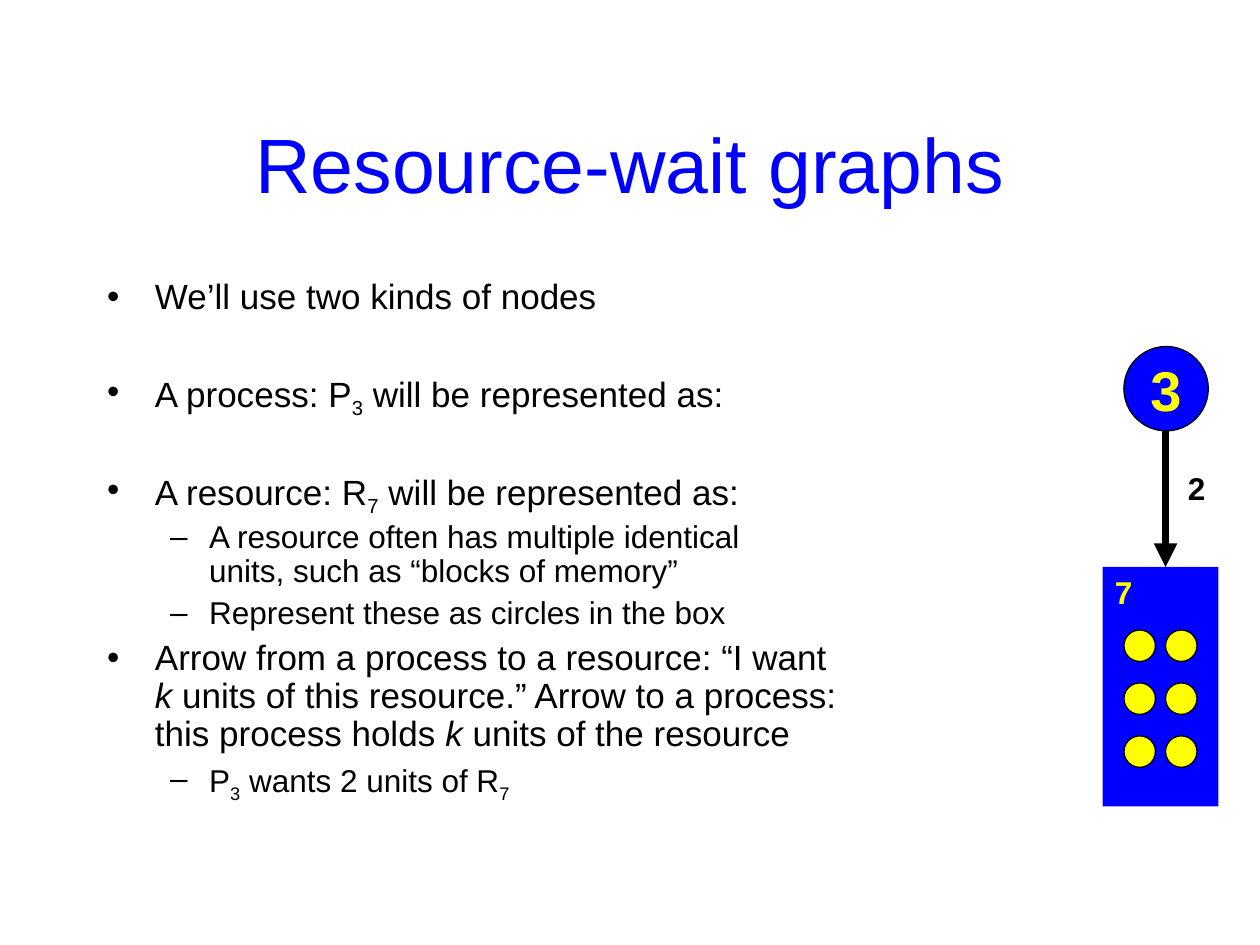
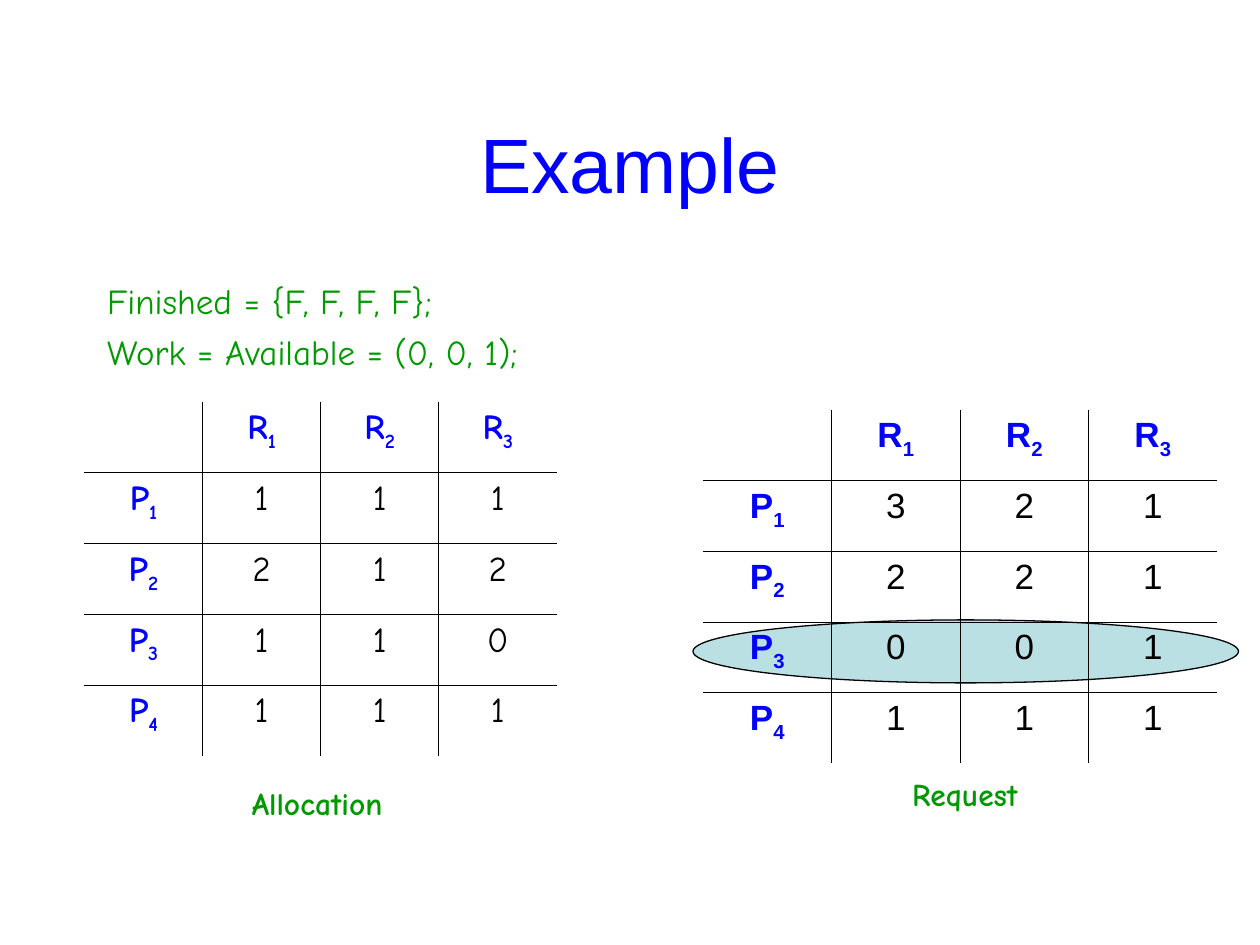
import copy
from dataclasses import dataclass

import pptx
import pptx.dml.color
import pptx.enum.shapes
import pptx.enum.text
import pptx.oxml
import pptx.oxml.ns
import pptx.slide
import pptx.table
import pptx.text.text
import pptx.util
from lxml import etree
from pptx.util import Inches, Pt

ALIGN = pptx.enum.text.PP_ALIGN
ANCHOR = pptx.enum.text.MSO_ANCHOR
SHAPE = pptx.enum.shapes.MSO_SHAPE


@dataclass(frozen=True)
class Theme:
    blue: str = "0000FF"
    yellow: str = "FFFF00"
    green: str = "009900"
    pale: str = "BBE0E3"
    black: str = "000000"
    sans: str = "Arial"
    comic: str = "Comic Neue"
    title: float = 44
    node: float = 32
    body: float = 20
    small: float = 18
    outline: float = 0.75
    arrow: float = 4.5
    grid: float = 0.45


THEME = Theme()


@dataclass(frozen=True)
class Style:
    size: float
    color: str = THEME.black
    font: str = THEME.sans
    bold: bool = False


@dataclass(frozen=True)
class Area:
    left: float
    top: float
    width: float
    height: float

    def lengths(self) -> tuple[int, ...]:
        return tuple(Inches(n) for n in (self.left, self.top, self.width, self.height))


@dataclass(frozen=True)
class Span:
    text: str
    subscript: bool = False
    italic: bool = False


@dataclass(frozen=True)
class Item:
    spans: tuple[Span, ...]
    level: int = 0
    before: float = 5
    bullet: bool = True


@dataclass(frozen=True)
class Matrix:
    name: str
    area: Area
    font: str
    values: tuple[tuple[int, ...], ...]
    caption: Area


TITLE_AREA = Area(0.75, 0.67, 8.5, 1.25)
BODY_AREA = Area(0.75, 2.17, 8.5, 4.5)
LEVELS = ((0.38, -0.38, "•", THEME.body), (0.81, -0.31, "–", THEME.small))
SECTION_GAP = 31.5


def rgb(color: str) -> pptx.dml.color.RGBColor:
    return pptx.dml.color.RGBColor.from_string(color)


def indexed(name: str, index: int) -> tuple[Span, Span]:
    return Span(name), Span(str(index), subscript=True)


def write(para: pptx.text.text._Paragraph, spans: tuple[Span, ...], style: Style) -> None:
    for span in spans:
        for number, line in enumerate(span.text.split("\n")):
            if number:
                previous = para.runs[-1]._r.get_or_add_rPr()
                para.add_line_break()
                para._p[-1].append(copy.deepcopy(previous))
            if not line:
                continue
            run = para.add_run()
            run.text = line
            run.font.name = style.font
            run.font.size = Pt(style.size)
            run.font.bold = style.bold
            run.font.italic = span.italic
            run.font.color.rgb = rgb(style.color)
            if span.subscript:
                run._r.get_or_add_rPr().set("baseline", "-25000")


def add_bullet(para: pptx.text.text._Paragraph, item: Item) -> None:
    margin, indent, mark, _ = LEVELS[item.level]
    properties = para._p.get_or_add_pPr()
    properties.set("marL", str(Inches(margin)))
    properties.set("indent", str(Inches(indent)))
    if not item.bullet:
        etree.SubElement(properties, pptx.oxml.ns.qn("a:buNone"))
        return
    color = etree.SubElement(properties, pptx.oxml.ns.qn("a:buClr"))
    etree.SubElement(color, pptx.oxml.ns.qn("a:srgbClr"), val=THEME.black)
    etree.SubElement(properties, pptx.oxml.ns.qn("a:buFont"), typeface=THEME.sans)
    etree.SubElement(properties, pptx.oxml.ns.qn("a:buChar"), char=mark)


def place(holder, area: Area, anchor: ANCHOR) -> pptx.text.text.TextFrame:
    holder.left, holder.top, holder.width, holder.height = area.lengths()
    frame = holder.text_frame
    frame.auto_size = pptx.enum.text.MSO_AUTO_SIZE.NONE
    frame.vertical_anchor = anchor
    return frame


def add_page(deck, title: str, items: list[Item], spacing: float,
             color: str, font: str) -> pptx.slide.Slide:
    page = deck.slides.add_slide(deck.slide_layouts[1])
    heading = place(page.shapes.title, TITLE_AREA, ANCHOR.MIDDLE).paragraphs[0]
    heading.alignment = ALIGN.CENTER
    write(heading, (Span(title),), Style(THEME.title, THEME.blue))
    body = place(page.placeholders[1], BODY_AREA, ANCHOR.TOP)
    for number, item in enumerate(items):
        para = body.add_paragraph() if number else body.paragraphs[0]
        para.level = item.level
        add_bullet(para, item)
        para.line_spacing = spacing
        para.space_before = Pt(item.before if number else 0)
        write(para, item.spans, Style(LEVELS[item.level][3], color, font))
    return page


def add_block(page: pptx.slide.Slide, kind: SHAPE, area: Area, fill: str, outlined: bool = True):
    block = page.shapes.add_shape(kind, *area.lengths())
    block.shadow.inherit = False
    block.fill.solid()
    block.fill.fore_color.rgb = rgb(fill)
    if outlined:
        block.line.color.rgb = rgb(THEME.black)
        block.line.width = Pt(THEME.outline)
    else:
        block.line.fill.background()
    return block


def label(box, text: str, style: Style, align: ALIGN = ALIGN.LEFT,
          anchor: ANCHOR = ANCHOR.TOP, wrap: bool = True) -> None:
    box.text_frame.word_wrap = wrap
    box.text_frame.vertical_anchor = anchor
    para = box.text_frame.paragraphs[0]
    para.alignment = align
    write(para, (Span(text),), style)


def add_label(page: pptx.slide.Slide, text: str, area: Area, style: Style) -> None:
    label(page.shapes.add_textbox(*area.lengths()), text, style)


def add_arrow(page: pptx.slide.Slide, x: float, top: float, bottom: float) -> None:
    arrow = page.shapes.add_connector(
        pptx.enum.shapes.MSO_CONNECTOR.STRAIGHT, Inches(x), Inches(top), Inches(x), Inches(bottom))
    arrow.line.color.rgb = rgb(THEME.black)
    arrow.line.width = Pt(THEME.arrow)
    etree.SubElement(arrow.line._get_or_add_ln(), pptx.oxml.ns.qn("a:tailEnd"), type="triangle")
    etree.SubElement(arrow._element.spPr, pptx.oxml.ns.qn("a:effectLst"))


def rule_cell(cell: pptx.table._Cell, drawn: dict[str, bool]) -> None:
    properties = cell._tc.get_or_add_tcPr()
    for position, (side, visible) in enumerate(drawn.items()):
        edge = etree.Element(pptx.oxml.ns.qn(f"a:ln{side}"), w=str(Pt(THEME.grid)))
        paint = etree.SubElement(edge, pptx.oxml.ns.qn("a:solidFill" if visible else "a:noFill"))
        if visible:
            etree.SubElement(paint, pptx.oxml.ns.qn("a:srgbClr"), val=THEME.black)
        properties.insert(position, edge)


def add_matrix(page: pptx.slide.Slide, matrix: Matrix) -> None:
    size = len(matrix.values) + 1, len(matrix.values[0]) + 1
    table = page.shapes.add_table(*size, *matrix.area.lengths()).table
    table.first_row = table.horz_banding = False
    for row in range(size[0]):
        for column in range(size[1]):
            cell = table.cell(row, column)
            cell.fill.background()
            rule_cell(cell, {"L": column > 0, "R": column < size[1] - 1,
                             "T": row > 0, "B": row < size[0] - 1})
            if row and column:
                spans = (Span(str(matrix.values[row - 1][column - 1])),)
                style = Style(THEME.body, font=matrix.font)
            elif row or column:
                spans = indexed("P", row) if row else indexed("R", column)
                style = Style(THEME.body, THEME.blue, matrix.font, True)
            else:
                continue
            para = cell.text_frame.paragraphs[0]
            para.alignment = ALIGN.CENTER
            write(para, spans, style)
    add_label(page, matrix.name, matrix.caption,
              Style(THEME.small, THEME.green, THEME.comic, True))


def build_graph_page(deck) -> None:
    represented = Span(" will be represented as:")
    items = [
        Item((Span("We’ll use two kinds of nodes"),)),
        Item((Span("A process: "), *indexed("P", 3), represented), before=SECTION_GAP),
        Item((Span("A resource: "), *indexed("R", 7), represented), before=SECTION_GAP),
        Item((Span("A resource often has multiple identical\n"
                   "units, such as “blocks of memory”"),), 1, 4.5),
        Item((Span("Represent these as circles in the box"),), 1, 4.5),
        Item((Span("Arrow from a process to a resource: “I want\n"), Span("k", italic=True),
              Span(" units of this resource.” Arrow to a process:\nthis process holds "),
              Span("k", italic=True), Span(" units of the resource"))),
        Item((*indexed("P", 3), Span(" wants 2 units of "), *indexed("R", 7)), 1, 4.5),
    ]
    page = add_page(deck, "Resource-wait graphs", items, 0.9, THEME.black, THEME.sans)
    process = add_block(page, SHAPE.OVAL, Area(8.92, 2.75, 0.67, 0.67), THEME.blue)
    label(process, "3", Style(THEME.node, THEME.yellow, bold=True),
          ALIGN.CENTER, ANCHOR.MIDDLE, False)
    resource = add_block(page, SHAPE.RECTANGLE, Area(8.75, 4.5, 0.92, 1.9), THEME.blue, False)
    label(resource, "7", Style(THEME.small, THEME.yellow, bold=True))
    for row in range(3):
        for column in range(2):
            unit = Area(8.92 + 0.33 * column, 5 + 0.42 * row, 0.25, 0.25)
            add_block(page, SHAPE.OVAL, unit, THEME.yellow)
    add_arrow(page, 9.25, 3.42, 4.5)
    add_label(page, "2", Area(9.33, 3.67, 0.25, 0.4), Style(THEME.small, bold=True))


def build_example_page(deck) -> None:
    lines = ("Finished = {F, F, F, F};", "Work = Available = (0, 0, 1);")
    items = [Item((Span(line),), bullet=False) for line in lines]
    page = add_page(deck, "Example", items, 1.0, THEME.green, THEME.comic)
    add_block(page, SHAPE.OVAL, Area(5.5, 4.92, 4.33, 0.5), THEME.pale)
    add_matrix(page, Matrix("Allocation", Area(0.67, 3.19, 3.75, 2.81), THEME.comic,
                            ((1, 1, 1), (2, 1, 2), (1, 1, 0), (1, 1, 1)),
                            Area(1.9, 6.17, 1.3, 0.4)))
    add_matrix(page, Matrix("Request", Area(5.58, 3.25, 4.08, 2.81), THEME.sans,
                            ((3, 2, 1), (2, 2, 1), (0, 0, 1), (1, 1, 1)),
                            Area(7.14, 6.1, 1.12, 0.4)))


def main() -> None:
    deck = pptx.Presentation()
    deck.slide_width, deck.slide_height = Inches(10), Inches(7.5)
    build_graph_page(deck)
    build_example_page(deck)
    deck.save("out.pptx")


if __name__ == "__main__":
    main()
